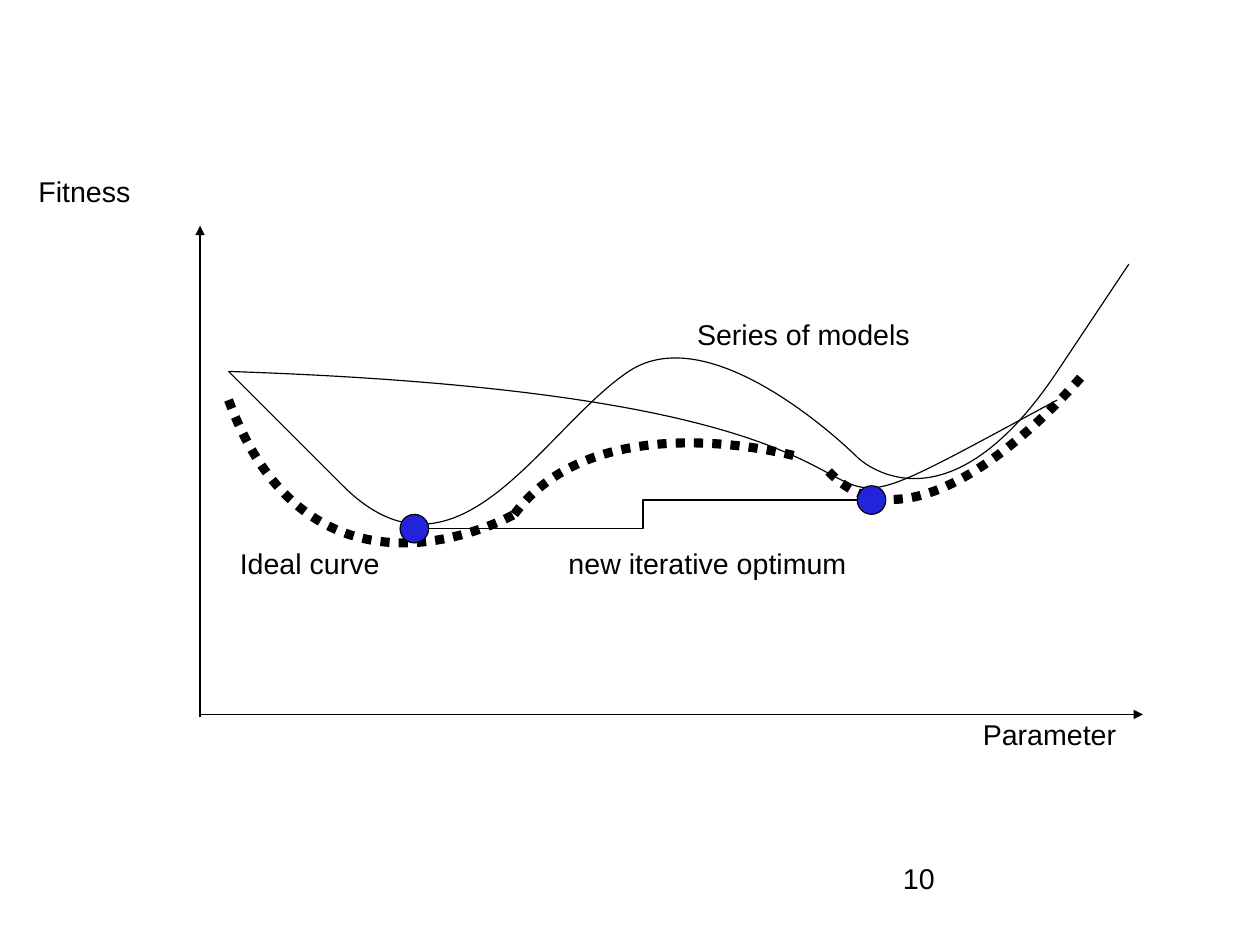
from pptx import Presentation
from pptx.dml.color import RGBColor
from pptx.enum.dml import MSO_LINE
from pptx.enum.shapes import MSO_CONNECTOR, MSO_SHAPE
from pptx.oxml.ns import qn
from pptx.util import Cm, Pt
from lxml.etree import SubElement

COLORS = {"ink": "000000", "dot": "2323DC"}
STEP = 0.635  # one grid step in cm
THIN = {"width": Pt(0.75)}
THICK = {"width": Pt(5.75), "dash_style": MSO_LINE.ROUND_DOT}
FONT = {"name": "Arial", "size": Pt(18)}
PAD = {"margin_left": Cm(0.25), "margin_right": Cm(0.25),
       "margin_top": Cm(0.13), "margin_bottom": Cm(0.13), "word_wrap": True}
BARE = {"margin_left": 0, "margin_right": 0,
        "margin_top": 0, "margin_bottom": 0, "word_wrap": True}

# Curves: a start, then groups of two control points and an end (grid steps)
IDEAL = [
    [(8, 14), (10.96, 22), (18, 18), (18, 18)],
    [(29, 16.5), (32.28, 20), (38, 13), (38, 13)],
    [(18, 18), (20.96, 14), (28, 16), (28, 16)],
]
MODELS = [
    [(8, 13), (38, 14), (24, 21), (37, 14)],
    [(8, 13), (8, 13), (12, 17), (12, 17),
     (16, 21), (19, 15), (22, 13),
     (25, 11), (30, 16), (30, 16),
     (30, 16), (33, 19), (37, 13),
     (41, 7), (39, 10), (39, 10)],
]


def grid(*vals):
    return [Cm(STEP * val) for val in vals]


def style(item, form):
    for key, val in form.items():
        setattr(item, key, val)


def ink(line, form):
    line.color.rgb = RGBColor.from_string(COLORS["ink"])
    style(line, form)


def label(slide, text, box, pad=PAD):
    frame = slide.shapes.add_textbox(*grid(*box)).text_frame
    style(frame, pad)
    para = frame.paragraphs[0]
    para.line_spacing = 0.93
    run = para.add_run()
    run.text = text
    style(run.font, FONT)
    run.font.color.rgb = RGBColor.from_string(COLORS["ink"])


def link(slide, kind, start, end, arrow=False):
    line = slide.shapes.add_connector(kind, *grid(*start, *end))
    ink(line.line, THIN)
    props = line.element.spPr
    if arrow:
        SubElement(props.find(qn("a:ln")), qn("a:tailEnd"), type="triangle")
    SubElement(props, qn("a:effectLst"))


def curve(slide, knots, form):
    first, *rest = [grid(*knot) for knot in knots]
    pen = slide.shapes.build_freeform(*first)
    pen.add_line_segments(rest, close=False)
    shape = pen.convert_to_shape()
    shape.shadow.inherit = False
    shape.fill.background()
    ink(shape.line, form)
    # Every three straight parts become one cubic curve
    lines = list(shape.element.iter(qn("a:lnTo")))
    trail = lines[0].getparent()
    for num, line in enumerate(lines):
        if num % 3 == 0:
            bend = SubElement(trail, qn("a:cubicBezTo"))
        bend.append(line[0])
        trail.remove(line)


def dot(slide, left, top):
    shape = slide.shapes.add_shape(MSO_SHAPE.OVAL, *grid(left, top, 1, 1))
    shape.shadow.inherit = False
    shape.fill.solid()
    shape.fill.fore_color.rgb = RGBColor.from_string(COLORS["dot"])
    ink(shape.line, THIN)


def main():
    deck = Presentation()
    style(deck, {"slide_width": Cm(28), "slide_height": Cm(21)})
    slide = deck.slides.add_slide(deck.slide_layouts[6])

    # Axes
    link(slide, MSO_CONNECTOR.STRAIGHT, (7, 25), (40, 25), True)
    link(slide, MSO_CONNECTOR.STRAIGHT, (7, 25.1), (7, 7.9), True)
    label(slide, "Fitness", (0.95, 6, 9, 1.5))
    label(slide, "Parameter", (34, 25, 6, 1.5))

    # Curves
    for knots in IDEAL:
        curve(slide, knots, THICK)
    for knots in MODELS:
        curve(slide, knots, THIN)
    label(slide, "Ideal curve", (8, 19, 6.5, 1.5))
    label(slide, "Series of models", (24, 11, 9, 1.5))

    # Optima and the step between them
    dot(slide, 30, 17)
    dot(slide, 14, 18)
    link(slide, MSO_CONNECTOR.ELBOW, (15, 18.5), (30, 17.5))
    label(slide, "new iterative optimum", (19.5, 19, 11.5, 1.5))

    # Page number
    label(slide, "10", (31.6, 30.25, 10.2, 2.2), BARE)
    deck.save("out.pptx")


if __name__ == "__main__":
    main()
